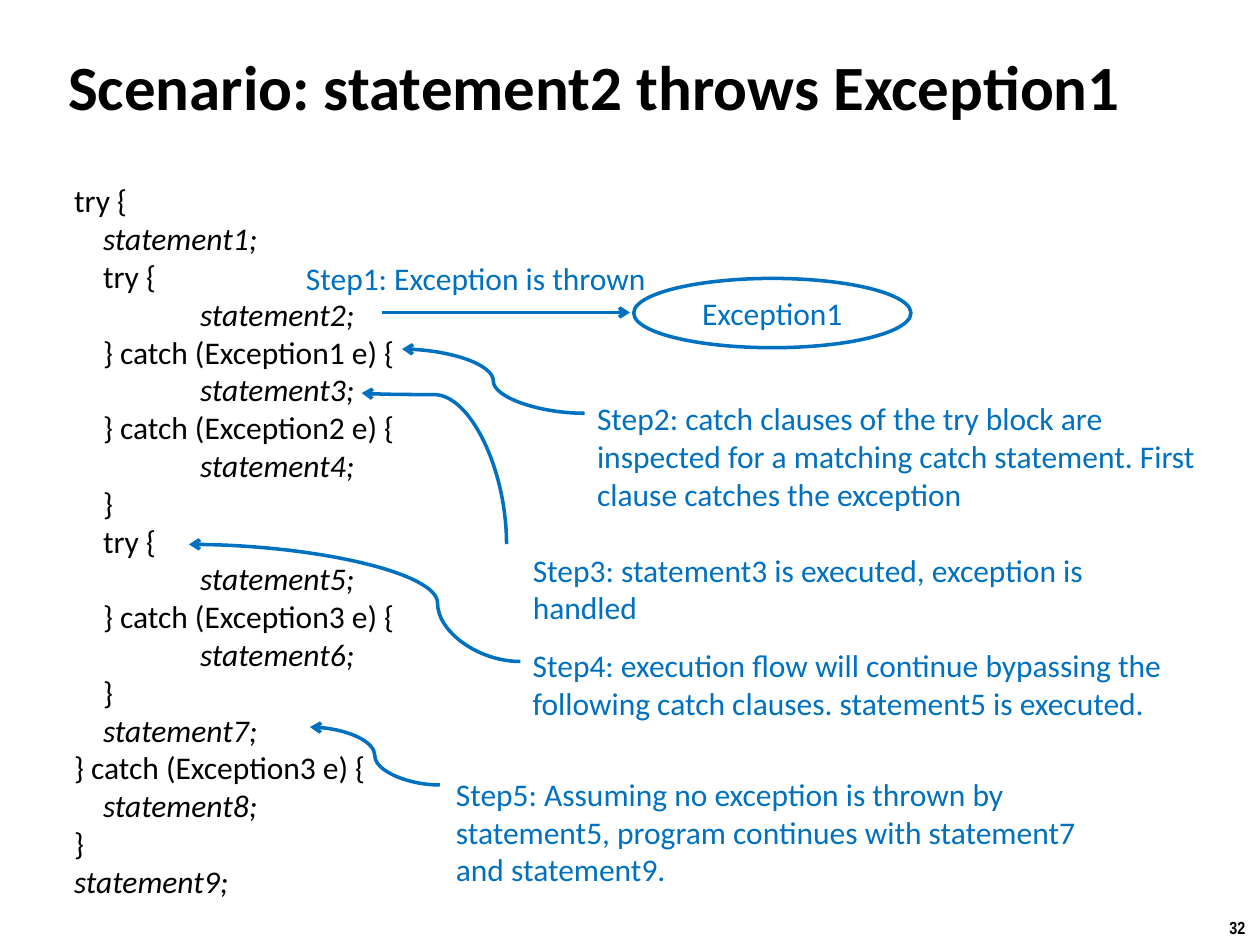
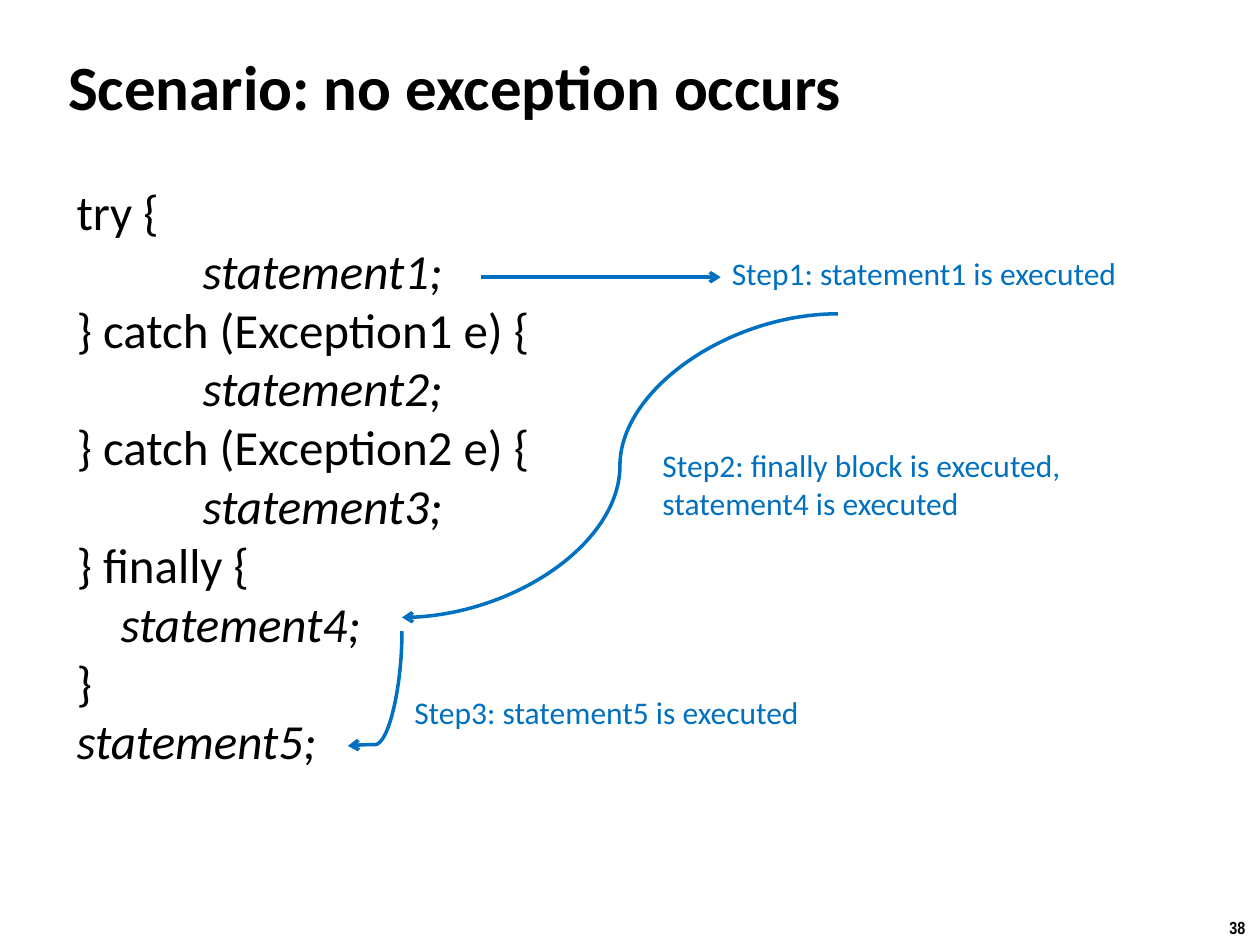
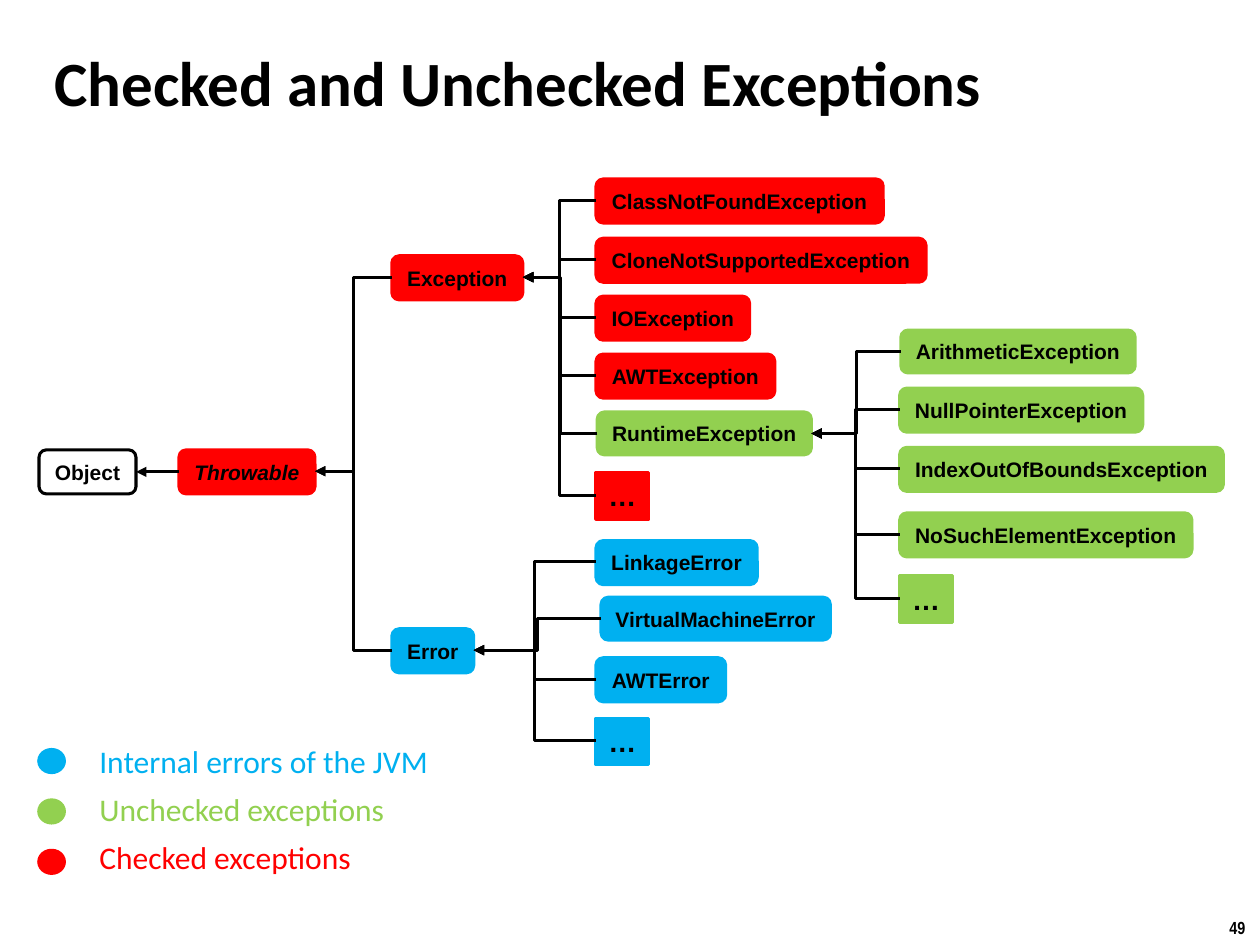
from dataclasses import dataclass

from lxml.etree import SubElement
from pptx import Presentation
from pptx.dml.color import RGBColor
from pptx.enum.shapes import MSO_CONNECTOR as Connector, MSO_SHAPE as Preset
from pptx.enum.text import MSO_ANCHOR as Anchor, MSO_AUTO_SIZE as AutoSize, PP_ALIGN as Align
from pptx.oxml.ns import qn
from pptx.util import Pt

EMU_PER_PX = 9144
BLACK, WHITE = "000000", "FFFFFF"
STEP_BLUE, ERROR_BLUE, GREEN, RED = "0070C0", "00B0F0", "92D050", "FF0000"
BODY_FONT, NODE_FONT, NUMBER_FONT = "Calibri", "Arial", "Arial Narrow"

NESTED_CODE = """\
try {
    statement1;
    try {
        statement2;
    } catch (Exception1 e) {
        statement3;
    } catch (Exception2 e) {
        statement4;
    }
    try {
        statement5;
    } catch (Exception3 e) {
        statement6;
    }
    statement7;
} catch (Exception3 e) {
    statement8;
}
statement9;"""

FINALLY_CODE = """\
try {
        statement1;
} catch (Exception1 e) {
        statement2;
} catch (Exception2 e) {
        statement3;
} finally {
    statement4;
}
statement5;"""


@dataclass(frozen=True)
class Label:
    text: str
    left: int
    top: int
    width: int
    height: int
    color: str = STEP_BLUE


@dataclass(frozen=True)
class Route:
    start: tuple[int, int]
    end: tuple[int, int]
    kind: Connector = Connector.CURVE
    bend: float = 0.5
    vertical: bool = False
    color: str = STEP_BLUE
    weight: float = 2
    head: str = "arrow"


@dataclass(frozen=True)
class Node:
    text: str
    left: int
    top: int
    width: int
    fill: str
    height: int = 35
    outline: str = ""
    italic: bool = False
    children: tuple["Node", ...] = ()

    @property
    def middle(self) -> int:
        return self.top + self.height // 2


def px(length: float) -> int:
    return round(length * EMU_PER_PX)


def rgb(color: str) -> RGBColor:
    return RGBColor.from_string(color)


def write_text(box, text: str, *, size: float = 18, color: str = BLACK, font: str = BODY_FONT,
               bold: bool = False, italic: bool = False, align: Align = Align.LEFT,
               anchor: Anchor = Anchor.TOP, wrap: bool = True,
               indents: tuple[int, ...] = ()) -> None:
    frame = box.text_frame
    frame.word_wrap = wrap
    frame.vertical_anchor = anchor
    for index, line in enumerate(text.split("\n")):
        para = frame.add_paragraph() if index else frame.paragraphs[0]
        para.alignment = align
        content = line.lstrip()
        if indents:
            level = (len(line) - len(content)) // 4
            para._p.get_or_add_pPr().set("marL", str(px(indents[level])))
        span = para.add_run()
        span.text = content
        span.font.name = font
        span.font.size = Pt(size)
        span.font.bold = bold
        span.font.italic = italic or (bool(indents) and content.startswith("statement"))
        span.font.color.rgb = rgb(color)


def add_box(page, left: int, top: int, width: int, height: int):
    box = page.shapes.add_textbox(px(left), px(top), px(width), px(height))
    box.text_frame.auto_size = AutoSize.SHAPE_TO_FIT_TEXT
    return box


def add_label(page, label: Label) -> None:
    box = add_box(page, label.left, label.top, label.width, label.height)
    write_text(box, label.text, color=label.color)


def add_code(page, text: str, left: int, height: int, size: float, indents: tuple[int, ...]) -> None:
    write_text(add_box(page, left, 139, 394, height), text, size=size, indents=indents)


def add_preset(page, preset: Preset, left: int, top: int, width: int, height: int,
               fill: str | None, outline: str, weight: float):
    shape = page.shapes.add_shape(preset, px(left), px(top), px(width), px(height))
    shape.shadow.inherit = False
    if fill:
        shape.fill.solid()
        shape.fill.fore_color.rgb = rgb(fill)
    else:
        shape.fill.background()
    shape.line.color.rgb = rgb(outline)
    shape.line.width = Pt(weight)
    return shape


def style_connector(connector, color: str, weight: float, head: str) -> None:
    connector.line.color.rgb = rgb(color)
    connector.line.width = Pt(weight)
    props = connector._element.spPr
    SubElement(props.find(qn("a:ln")), qn("a:tailEnd"), type=head)
    SubElement(props, qn("a:effectLst"))


def add_straight(page, start: tuple[int, int], end: tuple[int, int],
                 color: str, weight: float, head: str):
    connector = page.shapes.add_connector(
        Connector.STRAIGHT, *(px(value) for value in (*start, *end)))
    style_connector(connector, color, weight, head)
    return connector


def add_route(page, route: Route) -> None:
    (x1, y1), (x2, y2) = route.start, route.end
    width, height = abs(x2 - x1), abs(y2 - y1)
    downward = y2 > y1
    if route.vertical:
        width, height = height, width
        angle, flipped = (90, False) if downward else (270, True)
    else:
        angle, flipped = 180, downward
    left, top = (x1 + x2 - width) / 2, (y1 + y2 - height) / 2
    connector = page.shapes.add_connector(
        route.kind, px(left), px(top), px(left + width), px(top + height))
    frame = connector._element.spPr.find(qn("a:xfrm"))
    frame.set("rot", str(angle * 60000))
    if flipped:
        frame.set("flipV", "1")
    geometry = connector._element.spPr.find(qn("a:prstGeom"))
    SubElement(geometry.find(qn("a:avLst")), qn("a:gd"),
               name="adj1", fmla=f"val {round(route.bend * 100000)}")
    style_connector(connector, route.color, route.weight, route.head)


def add_tree(page, node: Node):
    ellipsis = node.text == "…"
    preset = Preset.RECTANGLE if ellipsis else Preset.ROUNDED_RECTANGLE
    shape = add_preset(page, preset, node.left, node.top, node.width, node.height,
                       node.fill, node.outline or node.fill, 1.75)
    write_text(shape, node.text, size=16 if ellipsis else 12, font=NODE_FONT, bold=True,
               italic=node.italic, align=Align.CENTER, anchor=Anchor.MIDDLE, wrap=False)
    for child in node.children:
        child_shape = add_tree(page, child)
        start, end = (child.left, child.middle), (node.left + node.width, node.middle)
        if child.middle == node.middle:
            connector = add_straight(page, start, end, BLACK, 1.75, "triangle")
            connector.begin_connect(child_shape, 1)
            connector.end_connect(shape, 3)
        else:
            add_route(page, Route(start, end, Connector.ELBOW, color=BLACK,
                                  weight=1.75, head="triangle"))
    return shape


def ellipsis_node(left: int, top: int, fill: str) -> Node:
    return Node("…", left, top, 42, fill, height=37)


def add_page(deck, title: str, number: int, left: int = 50, top: int = 8):
    page = deck.slides.add_slide(deck.slide_layouts[5])
    heading = page.shapes.title
    heading.left, heading.top, heading.width, heading.height = map(px, (left, top, 908, 119))
    frame = heading.text_frame
    frame.auto_size = AutoSize.NONE
    frame.margin_left = frame.margin_right = frame.margin_top = frame.margin_bottom = px(4)
    write_text(heading, title, size=36, bold=True, anchor=Anchor.MIDDLE)
    write_text(add_box(page, 966, 723, 34, 27), str(number),
               size=10, font=NUMBER_FONT, bold=True, wrap=False)
    return page


def build_thrown_page(deck) -> None:
    page = add_page(deck, "Scenario: statement2 throws Exception1", 32)
    add_code(page, NESTED_CODE, 49, 586, 18, (0, 23, 100))
    thrown = add_preset(page, Preset.OVAL, 503, 221, 220, 55, None, STEP_BLUE, 2)
    write_text(thrown, "Exception1", color=STEP_BLUE, align=Align.CENTER, anchor=Anchor.MIDDLE)
    add_straight(page, (303, 248), (500, 248), STEP_BLUE, 2, "arrow")
    for label in (
        Label("Step1: Exception is thrown", 233, 201, 298, 40),
        Label("Step2: catch clauses of the try block are inspected for a matching "
              "catch statement. First clause catches the exception", 464, 312, 519, 101),
        Label("Step3: statement3 is executed, exception is handled", 413, 432, 539, 71),
        Label("Step4: execution flow will continue bypassing the following catch clauses. "
              "statement5 is executed.", 413, 508, 523, 101),
        Label("Step5: Assuming no exception is thrown by statement5, program continues "
              "with statement7 and statement9.", 352, 610, 523, 101),
    ):
        add_label(page, label)
    for route in (
        Route((464, 328), (319, 277)),
        Route((402, 432), (287, 312), bend=0.99, vertical=True),
        Route((413, 525), (150, 432), bend=0.25),
        Route((349, 623), (246, 577)),
    ):
        add_route(page, route)


def build_finally_page(deck) -> None:
    page = add_page(deck, "Scenario: no exception occurs", 38)
    add_code(page, FINALLY_CODE, 51, 481, 28, (0, 35, 100))
    for label in (
        Label("Step1: statement1 is executed", 571, 197, 334, 40),
        Label("Step2: finally block is executed,\nstatement4 is executed", 516, 349, 353, 71),
        Label("Step3: statement5 is executed", 319, 545, 334, 40),
    ):
        add_label(page, label)
    add_straight(page, (382, 220), (572, 220), STEP_BLUE, 2, "arrow")
    add_route(page, Route((665, 249), (319, 490)))
    add_route(page, Route((319, 501), (276, 592), bend=0.99, vertical=True))


def build_hierarchy_page(deck) -> None:
    page = add_page(deck, "Checked and Unchecked Exceptions", 49, left=39, top=5)
    runtime = Node("RuntimeException", 474, 327, 170, GREEN, height=34, children=(
        Node("ArithmeticException", 715, 262, 186, GREEN, height=34),
        Node("NullPointerException", 714, 308, 193, GREEN),
        Node("IndexOutOfBoundsException", 714, 355, 257, GREEN),
        Node("NoSuchElementException", 714, 407, 232, GREEN),
        ellipsis_node(714, 457, GREEN),
    ))
    exception = Node("Exception", 311, 203, 104, RED, children=(
        Node("ClassNotFoundException", 473, 142, 228, RED),
        Node("CloneNotSupportedException", 473, 189, 262, RED),
        Node("IOException", 473, 235, 122, RED),
        Node("AWTException", 473, 281, 142, RED),
        runtime,
        ellipsis_node(473, 375, RED),
    ))
    error = Node("Error", 311, 499, 65, ERROR_BLUE, children=(
        Node("LinkageError", 473, 429, 128, ERROR_BLUE),
        Node("VirtualMachineError", 477, 474, 182, ERROR_BLUE, height=34),
        Node("AWTError", 473, 522, 103, ERROR_BLUE),
        ellipsis_node(473, 570, ERROR_BLUE),
    ))
    throwable = Node("Throwable", 142, 357, 108, RED, italic=True, children=(exception, error))
    add_tree(page, Node("Object", 31, 357, 77, WHITE, outline=BLACK, children=(throwable,)))

    legend = (("Internal errors of the JVM", ERROR_BLUE),
              ("Unchecked exceptions", GREEN),
              ("Checked exceptions", RED))
    for row, (meaning, color) in enumerate(legend):
        add_preset(page, Preset.OVAL, 31, 595 + 40 * row, 20, 18, color, color, 2)
        add_label(page, Label(meaning, 69, 584 + 38 * row, 319, 40, color))


def main() -> None:
    deck = Presentation()
    deck.slide_width, deck.slide_height = px(1000), px(750)
    build_thrown_page(deck)
    build_finally_page(deck)
    build_hierarchy_page(deck)
    deck.save("out.pptx")


if __name__ == "__main__":
    main()
